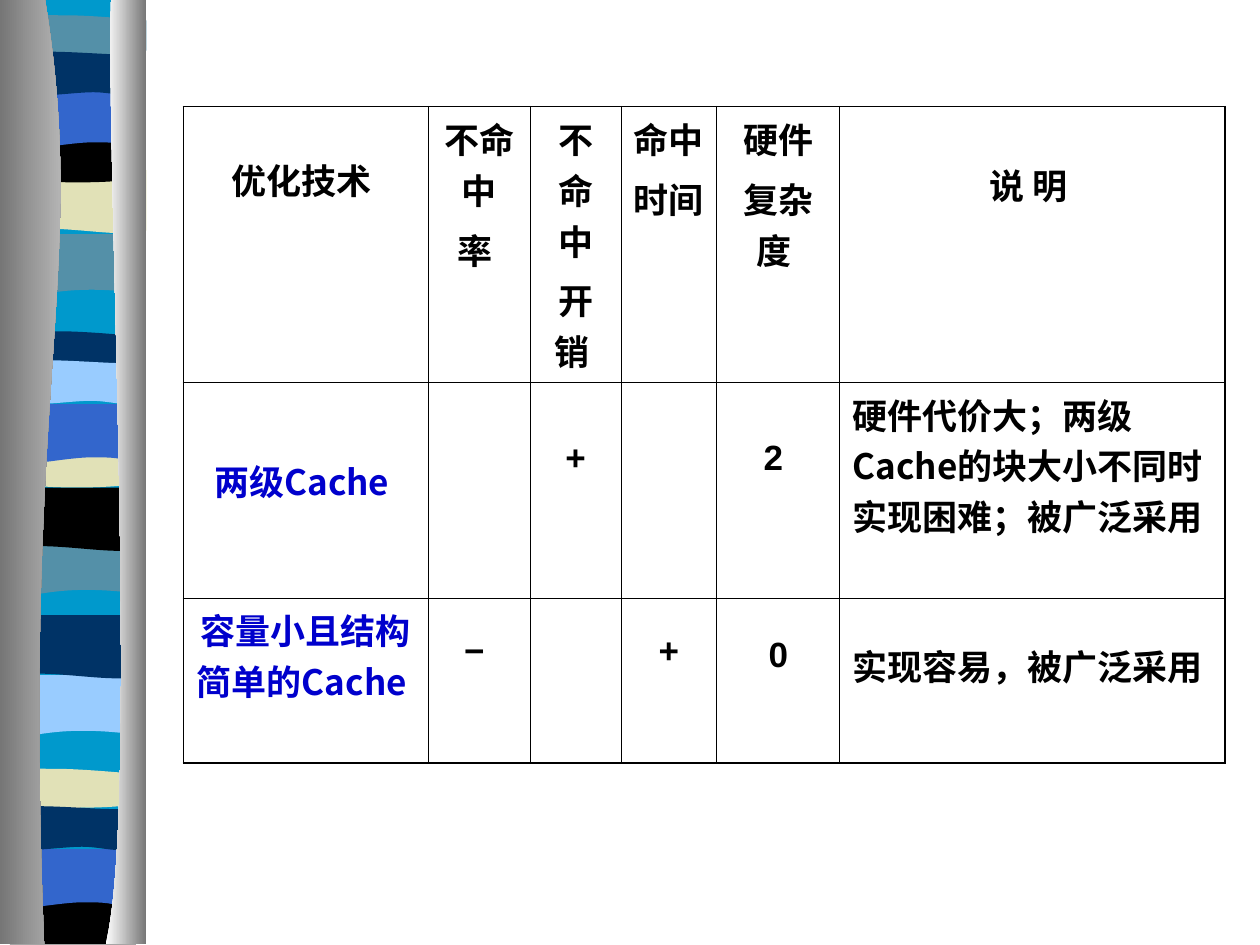
from lxml.etree import SubElement
from pptx import Presentation
from pptx.dml.color import RGBColor
from pptx.enum.text import PP_ALIGN as Align
from pptx.oxml.ns import qn
from pptx.util import Cm, Pt

COLORS = {
    "sky": "0099CC", "teal": "5490A8", "sand": "E1E1B7", "black": "000000",
    "blue": "3366CC", "navy": "003366", "pale": "99CCFF", "gray": "767676",
    "silver": "D2D2D2", "white": "FFFFFF", "label": "0000CC",
}
LATIN, HAN = "Arial", "Noto Sans CJK SC"

OUTLINES = {
    "wave": [(2.54, 0), (2.54, 1.19), (0.79, 0.97, 0.43, 1.37, 0, 1.19), (0, 0)],
    "swell": [(2.54, 0), (2.54, 1.22), (2.11, 1.4, 0.76, 1.07, 0, 1.22), (0, 0)],
    "lens": [(2.54, 0.13), (2.54, 0.74), (2.11, 0.84, 0.41, 0.84, 0, 0.74), (0, 0.13),
             (0.15, 0, 0.53, 0.03, 0.97, 0.03), (1.4, 0.03, 2.18, 0.1, 2.54, 0.13)],
    "saddle": [(2.54, 0), (2.54, 0.84), (2.11, 0.97, 0.43, 0.97, 0, 0.84), (0, 0),
               (1.55, 0.13, 2.01, 0, 2.54, 0)],
    "base": [(2.54, 0), (2.54, 0.96), (0, 0.96), (0, 0), (1.55, 0.13, 2.01, 0, 2.54, 0)],
    "arch": [(2.54, 0), (2.54, 1.22), (2.16, 1.07, 1.98, 1.07, 1.57, 1.07),
             (1.14, 1.07, 0.41, 1.22, 0, 1.22), (0, 0)],
    "ribbon": [(2.54, 0.13), (2.54, 0.89), (2.36, 1.04, 1.96, 0.89, 1.55, 0.89),
               (1.12, 0.89, 0.25, 1.04, 0, 0.89), (0, 0.13),
               (0.36, 0, 1.7, 0.13, 2.13, 0.13), (2.54, 0.13, 2.44, 0.13, 2.54, 0.13)],
    "backdrop": [(2.51, 0), (2.51, 19), (0, 19), (0, 0)],
    "left edge": [(0.91, 0), (1.8, 5.49, 0.43, 7.52, 0.89, 19.03), (0, 19.03), (0, 0)],
    "right edge": [(2.24, 0), (2.13, 3.18, 2.82, 16.41, 2.13, 19.03), (2.95, 19.03), (2.95, 0)],
}
BANDS = [
    ("backdrop", 0.33, 0, "sky"),
    ("wave", 0.3, 4.72, "teal"), ("swell", 0.41, 3.43, "sand"),
    ("lens", 0.41, 0.28, "teal"), ("saddle", 0.3, 2.74, "black"),
    ("arch", 0.3, 1.8, "blue"), ("ribbon", 0.33, 0.97, "navy"),
    ("wave", 0.2, 10.77, "teal"), ("swell", 0.28, 9.83, "black"),
    ("lens", 0.28, 6.65, "navy"), ("saddle", 0.28, 8.89, "sand"),
    ("arch", 0.28, 8.15, "blue"), ("ribbon", 0.28, 7.19, "pale"),
    ("wave", 0.13, 13.61, "pale"), ("swell", 0.23, 12.4, "navy"),
    ("lens", 0.2, 15.47, "sand"), ("base", 0.2, 18.08, "black"),
    ("arch", 0.1, 17.12, "blue"), ("ribbon", 0.1, 16.18, "navy"),
]
EDGES = [("left edge", "gray", "silver"), ("right edge", "white", "gray")]

COLUMNS = [4.93, 2.06, 1.83, 1.93, 2.48, 7.76]
ROWS = [4.67, 2.79, 2.11]
CELLS = [
    [("优化技术 ", 1.8), ("不命中\n率 ", 1), ("不命中\n开销 ", 1),
     ("命中\n时间 ", 1), ("硬件\n复杂度 ", 1), ("说 明 ", 1.9)],
    [("两级Cache ", 2.3), None, ("+", 2.3), None, ("2 ", 2.3),
     ("硬件代价大；两级Cache的块大小不同时实现困难；被广泛采用", 1)],
    [("容量小且结构简单的Cache ", 1), ("− ", 1.7), None, ("+", 1.7), ("0", 1.8),
     ("实现容易，被广泛采用", 1.7)],
]


def rgb(name):
    return RGBColor.from_string(COLORS[name])


def bend_curves(shape, steps):
    segments = iter(list(shape._element.iter(qn("a:lnTo"))))
    for step in steps:
        first = next(segments)
        if len(step) == 6:
            curve = first.makeelement(qn("a:cubicBezTo"), {})
            first.addprevious(curve)
            for segment in (first, next(segments), next(segments)):
                curve.append(segment[0])
                segment.getparent().remove(segment)


def add_outline(group, name, left, top):
    outline = OUTLINES[name]
    points = [(Cm(left + step[i]), Cm(top + step[i + 1]))
              for step in outline for i in range(0, len(step), 2)]
    builder = group.shapes.build_freeform(*points[0])
    builder.add_line_segments(points[1:], close=True)
    shape = builder.convert_to_shape()
    bend_curves(shape, outline[1:])
    shape.shadow.inherit = False
    shape.line.fill.background()
    return shape


def add_ribbon_column(page, left, top):
    group = page.shapes.add_group_shape()
    for name, x, y, color in BANDS:
        fill = add_outline(group, name, left + x, top + y).fill
        fill.solid()
        fill.fore_color.rgb = rgb(color)
    for name, start, end in EDGES:
        fill = add_outline(group, name, left, top).fill
        fill.gradient()
        fill.gradient_angle = 0
        for stop, color, position in zip(fill.gradient_stops, (start, end), (0, 1)):
            stop.color.rgb = rgb(color)
            stop.position = position


def set_borders(cell, outer):
    properties = cell._tc.get_or_add_tcPr()
    for index, side in enumerate(("lnL", "lnR", "lnT", "lnB")):
        width = Pt(1.08 if side in outer else 0.45)
        line = properties.makeelement(qn(f"a:{side}"), {"w": str(width)})
        fill = SubElement(line, qn("a:solidFill"))
        SubElement(fill, qn("a:srgbClr"), val=COLORS["black"])
        properties.insert(index, line)


def fill_cell(cell, content, color, font_name, align):
    text, spacing = content
    cell.text = text
    for para in cell.text_frame.paragraphs:
        para.alignment = align
        para.line_spacing = spacing
        para.space_before = Pt(5)
        font = para.font
        font.name, font.size, font.bold = font_name, Pt(20), True
        font.color.rgb = rgb(color)
        SubElement(para._p.pPr.find(qn("a:defRPr")), qn("a:ea"), typeface=HAN)


def add_comparison_table(page, left, top):
    frame = page.shapes.add_table(len(ROWS), len(COLUMNS), Cm(left), Cm(top),
                                  Cm(sum(COLUMNS)), Cm(sum(ROWS)))
    table = frame.table
    table.first_row = table.horz_banding = False
    for column, width in zip(table.columns, COLUMNS):
        column.width = Cm(width)
    for row, height in zip(table.rows, ROWS):
        row.height = Cm(height)
    last_row, last_column = len(ROWS) - 1, len(COLUMNS) - 1
    for r, contents in enumerate(CELLS):
        for c, content in enumerate(contents):
            cell = table.cell(r, c)
            cell.fill.background()
            at_edge = {"lnL": c == 0, "lnR": c == last_column,
                       "lnT": r == 0, "lnB": r == last_row}
            set_borders(cell, [side for side, outer in at_edge.items() if outer])
            if content:
                body = r > 0
                fill_cell(cell, content,
                          "label" if body and c == 0 else "black",
                          HAN if body and c in (0, last_column) else LATIN,
                          Align.LEFT if body and c == last_column else Align.CENTER)


def main():
    deck = Presentation()
    deck.slide_width, deck.slide_height = Cm(25.4), Cm(19.05)
    page = deck.slides.add_slide(deck.slide_layouts[6])
    add_ribbon_column(page, 0, 0)
    add_comparison_table(page, 3.7, 2.15)
    deck.save("out.pptx")


if __name__ == "__main__":
    main()
